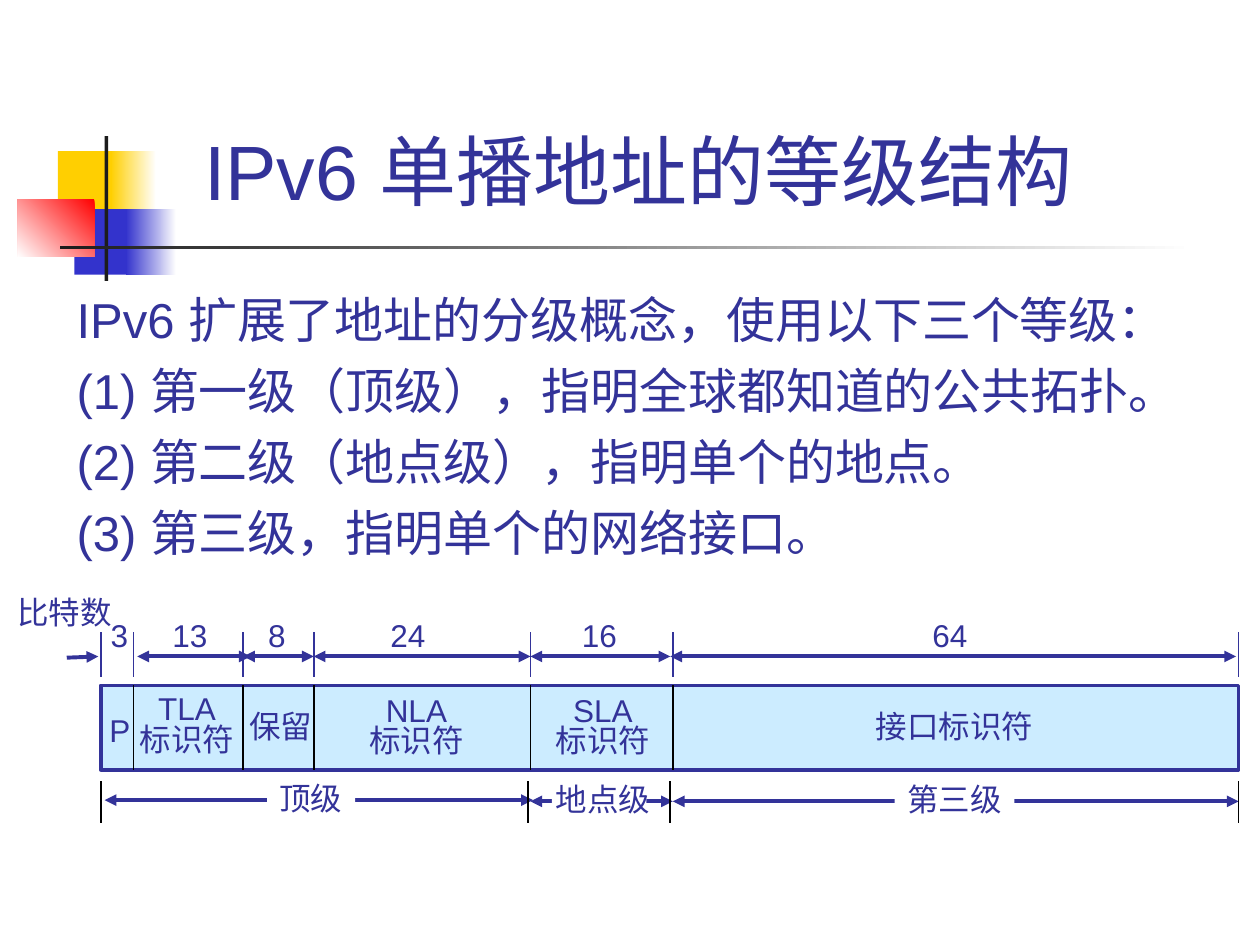
import pptx
import pptx.dml.color
import pptx.enum.shapes
import pptx.enum.text
import pptx.oxml.ns
import pptx.util
from lxml import etree

Inches = pptx.util.Inches
Pt = pptx.util.Pt
RGBColor = pptx.dml.color.RGBColor
ALIGN = pptx.enum.text.PP_ALIGN
RECTANGLE = pptx.enum.shapes.MSO_SHAPE.RECTANGLE
qn = pptx.oxml.ns.qn

NAVY = RGBColor(0x33, 0x33, 0x99)
BLUE = RGBColor(0x33, 0x33, 0xCC)
YELLOW = RGBColor(0xFF, 0xCF, 0x01)
RED = RGBColor(0xFF, 0x00, 0x00)
CHARCOAL = RGBColor(0x1C, 0x1C, 0x1C)
PALE_BLUE = RGBColor(0xCC, 0xEC, 0xFF)
WHITE = RGBColor(0xFF, 0xFF, 0xFF)
BLACK = RGBColor(0x00, 0x00, 0x00)

presentation = pptx.Presentation()
presentation.slide_width = Inches(10)
presentation.slide_height = Inches(7.5)
slide = presentation.slides.add_slide(presentation.slide_layouts[6])


def add_text(left, top, width, height, lines, size=18, align=ALIGN.LEFT,
             wrap=False, line_spacing=None, space_before=0, tab_centres=()):
    """Add a text box with one paragraph per line; tab stops are centred."""
    box = slide.shapes.add_textbox(Inches(left), Inches(top), Inches(width), Inches(height))
    frame = box.text_frame
    frame.word_wrap = wrap
    for index, line in enumerate(lines):
        paragraph = frame.paragraphs[0] if index == 0 else frame.add_paragraph()
        paragraph.alignment = align
        if line_spacing:
            paragraph.line_spacing = line_spacing
        if index and space_before:
            paragraph.space_before = Pt(space_before)
        if tab_centres:
            tab_list = etree.SubElement(paragraph._p.get_or_add_pPr(), qn("a:tabLst"))
            for centre in tab_centres:
                etree.SubElement(tab_list, qn("a:tab"), pos=str(Inches(centre)), algn="ctr")
        run = paragraph.add_run()
        run.text = line
        run.font.size = Pt(size)
        run.font.name = "Arial"
        run.font.color.rgb = NAVY
    return box


def add_line(x1, y1, x2, y2, color, width=1, arrows=()):
    """Draw a line; arrows names its arrow ends, headEnd before tailEnd."""
    line = slide.shapes.add_connector(
        pptx.enum.shapes.MSO_CONNECTOR.STRAIGHT, Inches(x1), Inches(y1), Inches(x2), Inches(y2))
    line.line.color.rgb = color
    line.line.width = Pt(width)
    for end in arrows:
        etree.SubElement(line.line._get_or_add_ln(), qn("a:" + end), type="triangle")
    etree.SubElement(line._element.spPr, qn("a:effectLst"))


# Corner decoration: left, top, width, height, colours, gradient angle
decorations = [
    (0.46, 1.2, 0.48, 0.52, [YELLOW], None),
    (0.88, 1.2, 0.36, 0.52, [WHITE, YELLOW], 180),
    (0.59, 1.66, 0.46, 0.52, [BLUE], None),
    (1, 1.66, 0.4, 0.52, [WHITE, BLUE], 180),
    (0.14, 1.58, 0.61, 0.46, [RED, WHITE], 225),
    (0.83, 1.08, 0.03, 1.15, [CHARCOAL], None),
    (0.48, 1.95, 9, 0.03, [WHITE, CHARCOAL], 180),
]
for left, top, width, height, colors, angle in decorations:
    shape = slide.shapes.add_shape(
        RECTANGLE, Inches(left), Inches(top), Inches(width), Inches(height))
    shape.shadow.inherit = False
    shape.line.fill.background()
    if angle is None:
        shape.fill.solid()
        shape.fill.fore_color.rgb = colors[0]
    else:
        shape.fill.gradient()
        shape.fill.gradient_angle = angle
        for stop, color in zip(shape.fill.gradient_stops, colors):
            stop.color.rgb = color

title = add_text(1.26, 0.76, 7.76, 1, ["IPv6 单播地址的等级结构 "], 44, ALIGN.CENTER, True)
title.text_frame.vertical_anchor = pptx.enum.text.MSO_ANCHOR.BOTTOM
add_text(0.51, 2.25, 9.25, 2.36, [
    "IPv6 扩展了地址的分级概念，使用以下三个等级：",
    "(1) 第一级（顶级），指明全球都知道的公共拓扑。",
    "(2) 第二级（地点级），指明单个的地点。",
    "(3) 第三级，指明单个的网络接口。",
], 28, wrap=True, space_before=7)

# Address bar with its field borders
field_edges = [0.8, 1.06, 1.93, 2.49, 4.21, 5.34, 9.83]
bar = slide.shapes.add_shape(RECTANGLE, Inches(0.8), Inches(5.44), Inches(9.03), Inches(0.67))
bar.shadow.inherit = False
bar.fill.solid()
bar.fill.fore_color.rgb = PALE_BLUE
bar.line.color.rgb = NAVY
bar.line.width = Pt(2)
for x in field_edges[1:-1]:
    add_line(x, 5.44, x, 6.11, BLACK)
for x in field_edges:
    add_line(x, 5.02, x, 5.37, NAVY)

# Bit counts
add_text(0.78, 4.84, 7.2, 0.4, ["3\t13\t8\t24\t16\t64"], wrap=True,
         tab_centres=[0.63, 1.32, 2.36, 3.88, 6.66])
add_text(0.04, 4.66, 0.95, 0.4, ["比特数"])

# Field names
add_text(0.77, 5.59, 0.37, 0.4, ["P"])
add_text(1.88, 5.56, 0.7, 0.4, ["保留"])
add_text(6.85, 5.56, 1.45, 0.4, ["接口标识符"])
for left, top, name in [(1.01, 5.48, "TLA"), (2.83, 5.49, "NLA"), (4.31, 5.49, "SLA")]:
    add_text(left, top, 0.95, 0.58, [name, "标识符"], align=ALIGN.CENTER, line_spacing=0.8)

# Bit-count arrows above the bar and level arrows below it
both_ends = ("headEnd", "tailEnd")
spans = [
    (5.32, 9.81, 5.21), (4.21, 5.32, 5.21), (2.49, 4.21, 5.21), (1.93, 2.49, 5.21),
    (1.09, 1.99, 5.21), (0.83, 4.23, 6.35), (4.21, 5.34, 6.36), (5.34, 9.83, 6.36),
]
for start, end, y in spans:
    add_line(start, y, end, y, NAVY, 2.25, both_ends)
add_line(0.53, 5.22, 0.78, 5.21, NAVY, 2.25, ("tailEnd",))

# Level names interrupt their arrows
site_gap = slide.shapes.add_shape(
    RECTANGLE, Inches(4.38), Inches(6.18), Inches(0.75), Inches(0.56))
site_gap.shadow.inherit = False
site_gap.line.fill.background()
top_level = add_text(2.12, 6.13, 0.7, 0.4, ["顶级"])
third_level = add_text(7.1, 6.14, 0.95, 0.4, ["第三级"])
for label in (site_gap, top_level, third_level):
    label.fill.solid()
    label.fill.fore_color.rgb = WHITE
add_text(4.31, 6.14, 0.95, 0.4, ["地点级"], align=ALIGN.CENTER)

for x in (0.8, 4.19, 5.32, 9.83):
    add_line(x, 6.2, x, 6.53, BLACK)

presentation.save("out.pptx")
